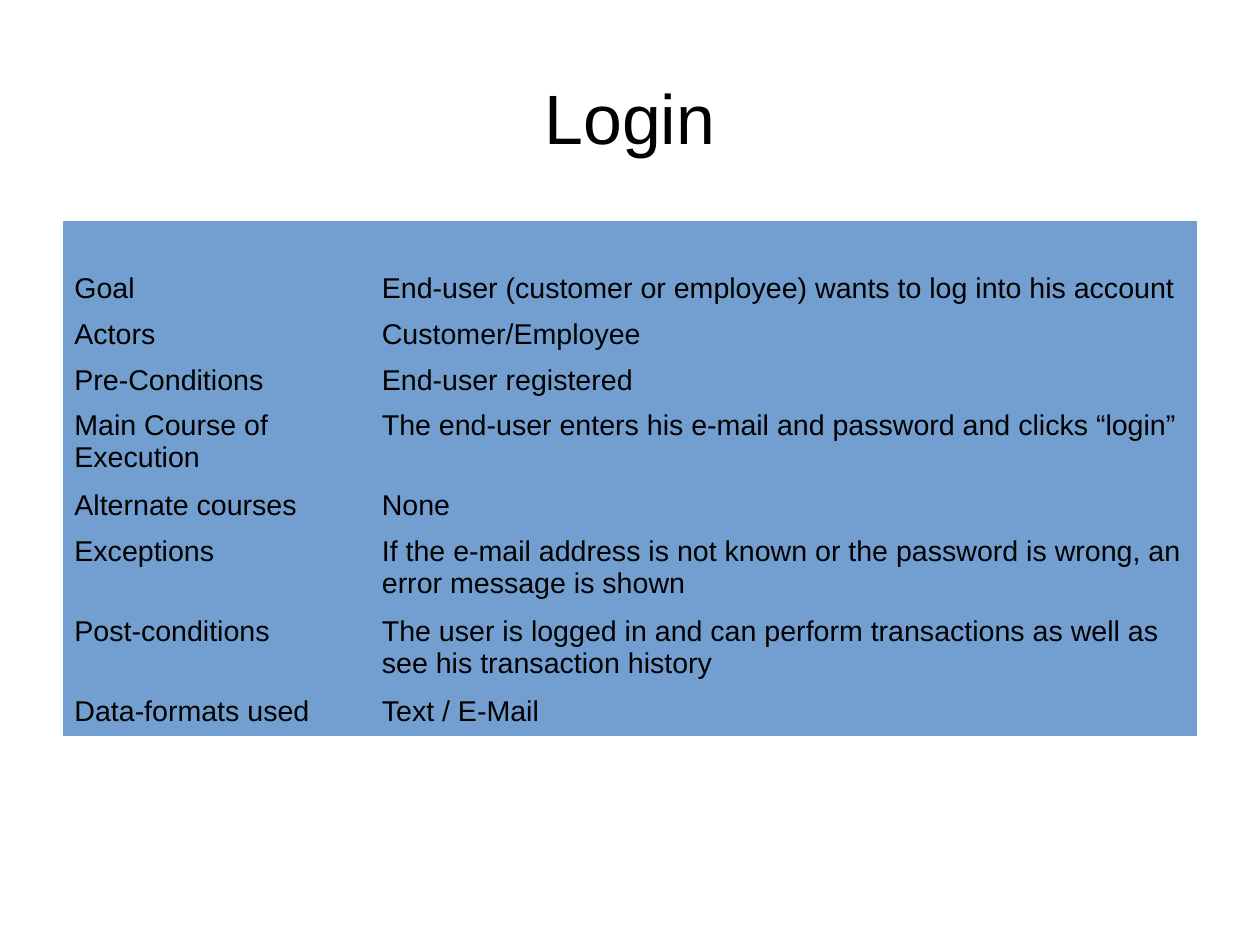
from pptx import Presentation
from pptx.dml.color import RGBColor as Rgb
from pptx.enum.text import MSO_ANCHOR as Anchor, PP_ALIGN as Align
from pptx.util import Cm, Inches as In, Pt

# Content: label, text, lines of height
TITLE = "Login"
ROWS = [
    ("", "", 1),
    ("Goal", "End-user (customer or employee) wants to log into his account", 1),
    ("Actors", "Customer/Employee", 1),
    ("Pre-Conditions", "End-user registered", 1),
    ("Main Course of Execution",
     "The end-user enters his e-mail and password and clicks “login”", 2),
    ("Alternate courses", "None", 1),
    ("Exceptions", "If the e-mail address is not known or the password is wrong, "
     "an error message is shown", 2),
    ("Post-conditions", "The user is logged in and can perform transactions as well as "
     "see his transaction history", 2),
    ("Data-formats used", "Text / E-Mail", 1),
]
FONT, BLACK, BLUE = "Arial", "000000", "729FCF"

# Measures: the slide is 28 by 21 cm, the rest is in inches
PAGE = Cm(28), Cm(21)
WIDE, HIGH = (side.inches for side in PAGE)
LEFT = WIDE * 0.05
SPAN = WIDE - 2 * LEFT
COLS = (2.69, SPAN - 2.69)
TALL = {1: 0.4, 2: 0.7}


def color(code):
    return Rgb.from_string(code)


def write(para, text, size):
    run = para.add_run()
    run.text = text
    run.font.name, run.font.size = FONT, Pt(size)
    run.font.color.rgb = color(BLACK)


deck = Presentation()
deck.slide_width, deck.slide_height = PAGE
slide = deck.slides.add_slide(deck.slide_layouts[5])

# Title
title = slide.shapes.title
title.left, title.top = In(LEFT), In(HIGH * 0.04)
title.width, title.height = In(SPAN), In(HIGH / 6)
frame = title.text_frame
frame.margin_left = frame.margin_right = frame.margin_top = frame.margin_bottom = 0
frame.vertical_anchor = Anchor.MIDDLE
frame.paragraphs[0].alignment = Align.CENTER
write(frame.paragraphs[0], TITLE, 44)

# Use case table
total = sum(TALL[lines] for *_, lines in ROWS)
table = slide.shapes.add_table(len(ROWS), len(COLS), In(LEFT), In(1.93),
                               In(SPAN), In(total)).table
table.first_row = table.horz_banding = False
for col, width in zip(table.columns, COLS):
    col.width = In(width)
for r, (*texts, lines) in enumerate(ROWS):
    table.rows[r].height = In(TALL[lines])
    for c, text in enumerate(texts):
        cell = table.cell(r, c)
        cell.fill.solid()
        cell.fill.fore_color.rgb = color(BLUE)
        cell.margin_left = cell.margin_right = In(0.1)
        cell.margin_top = cell.margin_bottom = In(0.05)
        if text:
            write(cell.text_frame.paragraphs[0], text, 18)

# Clear the cell borders of the default style
style = table._tbl.tblPr.find(
    "{http://schemas.openxmlformats.org/drawingml/2006/main}tableStyleId")
style.text = "{2D5ABB26-0587-4C30-8999-92F81FD0307C}"

deck.save("out.pptx")
